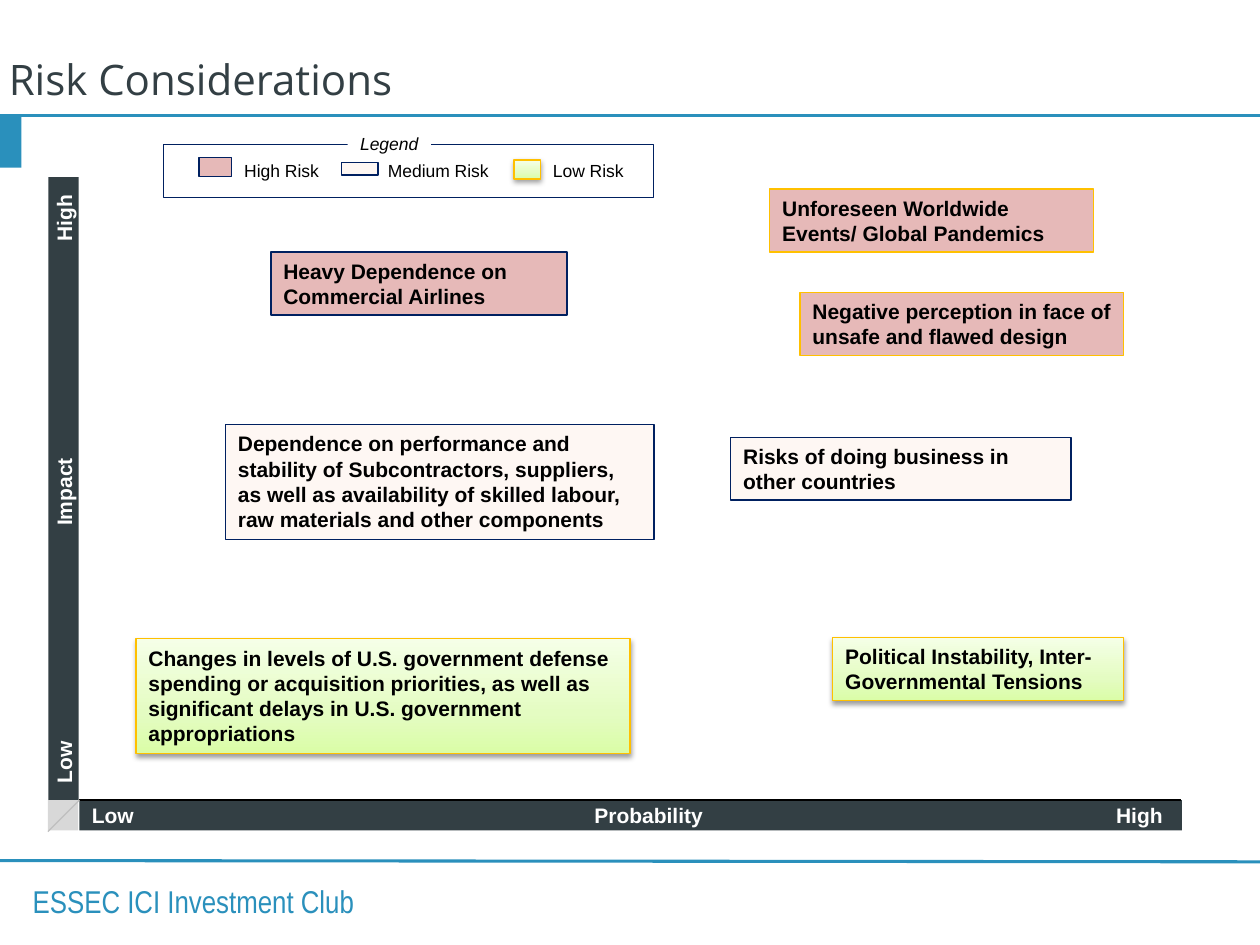
from copy import deepcopy

from lxml.etree import SubElement
from pptx import Presentation
from pptx.dml.color import RGBColor
from pptx.enum.shapes import MSO_CONNECTOR as Connector, MSO_SHAPE as Preset
from pptx.enum.text import MSO_ANCHOR as Anchor, MSO_AUTO_SIZE as AutoSize
from pptx.oxml.ns import qn
from pptx.util import Inches, Pt

COLUMNS, ROWS = 100, 75  # grid of the slide
BLUE, SLATE, NAVY, GOLD = "2A90BC", "333F44", "002060", "FFC000"
WHITE, BLACK = "FFFFFF", "000000"
ROSE, CREAM = "E6B9B8", "FEF7F3"
GREEN = [(0, "DAFDA7"), (0.35, "E4FCC2"), (1, "F5FFE7")]


def color(value):
    return RGBColor.from_string(value)


class RiskSlide:
    """Holds the style, the grid and the current slide."""

    def __init__(self, presentation):
        self.column = presentation.slide_width / COLUMNS
        self.row = presentation.slide_height / ROWS
        self.slide = presentation.slides.add_slide(presentation.slide_layouts[6])
        self.shapes = self.slide.shapes

    def place(self, left, top, width, height):
        return (round(left * self.column), round(top * self.row),
                round(width * self.column), round(height * self.row))

    def line(self, start, end, line_color, weight):
        points = self.place(*start, *end)
        connector = self.shapes.add_connector(Connector.STRAIGHT, *points)
        connector.line.color.rgb = color(line_color)
        connector.line.width = Pt(weight)
        SubElement(connector._element.spPr, qn("a:effectLst"))
        return connector

    def box(self, at, fill=None, outline=None, weight=0.75):
        shape = self.shapes.add_shape(Preset.RECTANGLE, *self.place(*at))
        shape.shadow.inherit = False
        if fill is None:
            shape.fill.background()
        elif isinstance(fill, str):
            shape.fill.solid()
            shape.fill.fore_color.rgb = color(fill)
        else:
            self.gradient(shape, fill)
            self.drop_shadow(shape)
        if outline:
            shape.line.color.rgb = color(outline)
            shape.line.width = Pt(weight)
        else:
            shape.line.fill.background()
        return shape

    def gradient(self, shape, stops):
        shape.fill.gradient()
        shape.fill.gradient_angle = 90
        stop_list = shape._element.spPr.find(".//" + qn("a:gsLst"))
        while len(stop_list) < len(stops):
            stop_list.append(deepcopy(stop_list[-1]))
        for stop, (position, value) in zip(shape.fill.gradient_stops, stops):
            stop.position = position
            stop.color.rgb = color(value)

    def drop_shadow(self, shape):
        effects = shape._element.spPr.find(qn("a:effectLst"))
        shadow = SubElement(effects, qn("a:outerShdw"), blurRad=str(Pt(3.1)),
                            dist=str(Pt(1.6)), dir="5400000", rotWithShape="0")
        black = SubElement(shadow, qn("a:srgbClr"), val=BLACK)
        SubElement(black, qn("a:alpha"), val="38000")

    def add_words(self, shape, paragraphs, size=12, font="Arial", ink=BLACK,
                  bold=False, italic=False, wrap=True, grow=True,
                  anchor=Anchor.TOP, insets=(0.1, 0.05), tabs=()):
        frame = shape.text_frame
        frame.word_wrap = wrap
        frame.auto_size = AutoSize.SHAPE_TO_FIT_TEXT if grow else AutoSize.NONE
        frame.vertical_anchor = anchor
        frame.margin_left = frame.margin_right = Inches(insets[0])
        frame.margin_top = frame.margin_bottom = Inches(insets[1])
        for index, text in enumerate(paragraphs):
            paragraph = frame.add_paragraph() if index else frame.paragraphs[0]
            properties = paragraph._p.get_or_add_pPr()
            properties.set("algn", "l")
            if tabs:
                tab_list = SubElement(properties, qn("a:tabLst"))
                for position, align in tabs:
                    SubElement(tab_list, qn("a:tab"),
                               pos=str(Inches(position)), algn=align)
            run = paragraph.add_run()
            run.text = text
            run.font.size = Pt(size)
            run.font.name = font
            run.font.bold = bold
            run.font.italic = italic
            run.font.color.rgb = color(ink)

    def text(self, at, content, **style):
        shape = self.shapes.add_textbox(*self.place(*at))
        self.add_words(shape, [content], **style)
        return shape

    def risk(self, at, paragraphs, fill, outline):
        self.add_words(self.box(at, fill, outline), paragraphs, bold=True)

    def axis(self, at, labels, inset, middle, end, rotation=0):
        shape = self.box(at, SLATE)
        shape.rotation = rotation
        self.add_words(shape, ["\t".join(labels)], ink=WHITE, bold=True,
                       grow=False, anchor=Anchor.MIDDLE, insets=(inset, 0.05),
                       tabs=[(middle, "ctr"), (end, "r")])

    def legend_item(self, swatch, label_at, label, fill, outline):
        self.box(swatch, fill, outline)
        self.text(label_at, label, size=10, wrap=False)


def main():
    presentation = Presentation()
    presentation.slide_width, presentation.slide_height = Inches(10), Inches(7.5)
    page = RiskSlide(presentation)

    # Frame, footer and title
    page.text((2.6, 70, 38.7, 3), "ESSEC ICI Investment Club", size=18,
              font="Arial Narrow", ink=BLUE, insets=(0, 0))
    page.line((0, 9.2), (COLUMNS, 9.2), BLUE, 1.75)
    page.box((0, 9.2, 1.7, 4.1), BLUE)
    page.line((0, 68.3), (COLUMNS, 68.4), BLUE, 1.75)
    title = page.text((0, 4.3, 45, 4.4), "Risk Considerations", size=24,
                      font="Open Sans", ink=SLATE, anchor=Anchor.MIDDLE,
                      insets=(0.07, 0.04))
    title.text_frame.paragraphs[0].line_spacing = 0.9

    # Axes and the corner between them
    page.axis((6.3, 63.5, 87.5, 2.4), ("Low", "Probability", "High"),
              inset=0.1, middle=4.42, end=8.5)
    page.line((93.7, 63.5), (6.3, 63.5), BLACK, 0.75)
    page.axis((-19.7, 37.6, 49.5, 2.4), ("Low", "Impact", "High"),
              inset=0.14, middle=2.31, end=4.69, rotation=270)
    page.box((3.8, 63.5, 2.4, 2.4), "D8D8D8")
    page.line((6.3, 63.5), (3.8, 66), "BFBFBF", 0.75)

    # Risks on the map
    risks = [
        ((10.8, 50.7, 39.2, 9.1),
         ["Changes in levels of U.S. government defense spending or "
          "acquisition priorities, as well as",
          "significant delays in U.S. government appropriations"], GREEN, GOLD),
        ((21.5, 20, 23.5, 5),
         ["Heavy Dependence on Commercial Airlines"], ROSE, NAVY),
        ((17.9, 33.7, 34, 9.1),
         ["Dependence on performance and stability of Subcontractors, "
          "suppliers, as well as availability of skilled labour, raw "
          "materials and other components"], CREAM, NAVY),
        ((66.1, 50.6, 23.1, 5),
         ["Political Instability, Inter-Governmental Tensions"], GREEN, GOLD),
        ((58, 34.7, 27, 5),
         ["Risks of doing business in other countries"], CREAM, NAVY),
        ((61.1, 15, 25.7, 5),
         ["Unforeseen Worldwide Events/ Global Pandemics"], ROSE, GOLD),
        ((63.5, 23.2, 25.7, 5),
         ["Negative perception in face of unsafe and flawed design"], ROSE, GOLD),
    ]
    for risk in risks:
        page.risk(*risk)

    # Legend
    legend = [
        ((15.8, 12.5, 2.6, 1.5), (18.4, 12.2, 8, 2.7), "High Risk", ROSE, NAVY),
        ((27.1, 12.9, 2.9, 1), (29.8, 12.2, 10.1, 2.7), "Medium Risk", CREAM, NAVY),
        ((40.8, 12.7, 2.1, 1.5), (42.9, 12.2, 7.7, 2.7), "Low Risk", GREEN, GOLD),
    ]
    for item in legend:
        page.legend_item(*item)
    page.box((13, 11.5, 38.9, 4.2), outline=NAVY, weight=0.5)
    page.add_words(page.box((27.6, 10.1, 6.6, 2.7), WHITE), ["Legend"], size=10,
                   italic=True, wrap=False)

    presentation.save("out.pptx")


if __name__ == "__main__":
    main()
